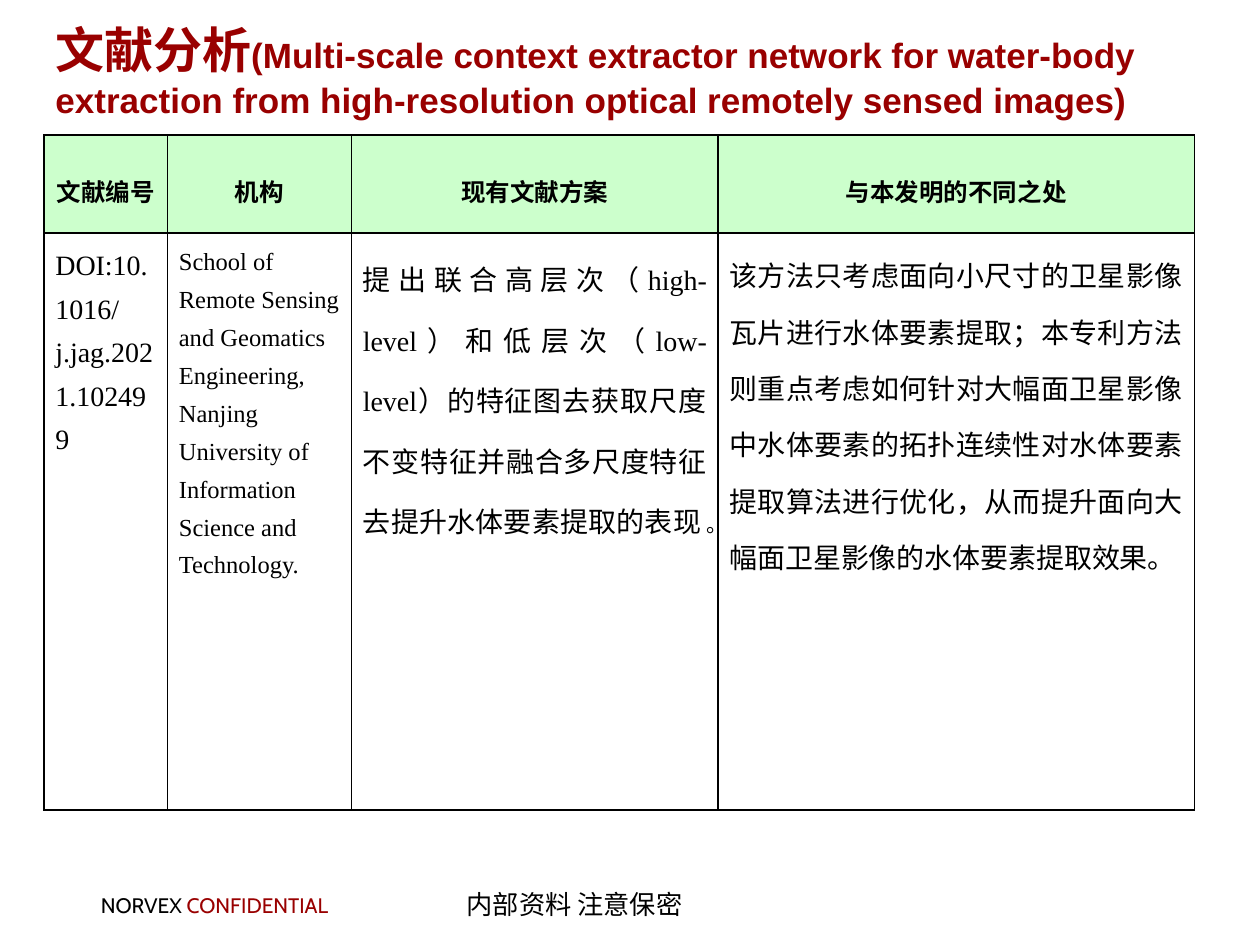
from dataclasses import dataclass

from lxml import etree
from pptx import Presentation
from pptx import util as u
from pptx.dml.color import RGBColor
from pptx.enum import text
from pptx.oxml import ns

PX = 9144  # EMU per px, 100 px to the inch
LEFT, CENTER, JUSTIFY = text.PP_ALIGN.LEFT, text.PP_ALIGN.CENTER, text.PP_ALIGN.JUSTIFY
TOP, MIDDLE = text.MSO_ANCHOR.TOP, text.MSO_ANCHOR.MIDDLE


@dataclass(frozen=True)
class Theme:
    ink: str = "000000"
    accent: str = "990000"
    header_fill: str = "CCFFCC"
    sans: str = "Arial"
    serif: str = "Times New Roman"
    chinese: str = "Noto Sans CJK SC"
    footer_font: str = "Cabin"
    title_size: int = 28
    subtitle_size: int = 20
    body_size: int = 16
    note_size: int = 15
    small_size: int = 14
    tiny_size: int = 12
    border_width: int = 1


@dataclass(frozen=True)
class Run:
    words: str
    size: int
    font: str
    color: str = Theme.ink
    bold: bool = False


class SlideBuilder:
    def __init__(self, slide, theme):
        self.slide = slide
        self.theme = theme

    def add_runs(self, paragraph, runs, align=LEFT, spacing=None):
        paragraph.alignment = align
        if spacing:
            paragraph.line_spacing = spacing
        for item in runs:
            run = paragraph.add_run()
            run.text = item.words
            run.font.size = u.Pt(item.size)
            run.font.name = item.font
            run.font.bold = item.bold
            run.font.color.rgb = RGBColor.from_string(item.color)
            east_asian = etree.SubElement(run.font._element, ns.qn("a:ea"))
            east_asian.set("typeface", self.theme.chinese)

    def set_margins(self, holder):
        holder.margin_left = holder.margin_right = 9 * PX
        holder.margin_top = holder.margin_bottom = 4 * PX

    def text_box(self, left, top, width, height, runs, align=LEFT, anchor=TOP, wrap=True):
        shape = self.slide.shapes.add_textbox(left * PX, top * PX, width * PX, height * PX)
        frame = shape.text_frame
        frame.word_wrap = wrap
        frame.vertical_anchor = anchor
        self.set_margins(frame)
        self.add_runs(frame.paragraphs[0], runs, align)

    def draw_borders(self, cell):
        properties = cell._tc.get_or_add_tcPr()
        for side in ("lnL", "lnR", "lnT", "lnB"):
            line = etree.SubElement(properties, ns.qn(f"a:{side}"))
            line.set("w", str(u.Pt(self.theme.border_width)))
            fill = etree.SubElement(line, ns.qn("a:solidFill"))
            etree.SubElement(fill, ns.qn("a:srgbClr")).set("val", self.theme.ink)

    def fill_cell(self, cell, runs, align, spacing, anchor, color=None):
        self.draw_borders(cell)
        if color:
            cell.fill.solid()
            cell.fill.fore_color.rgb = RGBColor.from_string(color)
        else:
            cell.fill.background()
        self.set_margins(cell)
        cell.vertical_anchor = anchor
        self.add_runs(cell.text_frame.paragraphs[0], runs, align, spacing)

    def table(self, left, top, widths, heights, headers, entries):
        shape = self.slide.shapes.add_table(
            len(heights), len(widths), left * PX, top * PX,
            sum(widths) * PX, sum(heights) * PX)
        table = shape.table
        table.first_row = table.horz_banding = False
        for column, width in zip(table.columns, widths):
            column.width = width * PX
        for row, height in zip(table.rows, heights):
            row.height = height * PX
        theme = self.theme
        for index, header in enumerate(headers):
            run = Run(header, theme.small_size, theme.chinese, bold=True)
            self.fill_cell(table.cell(0, index), [run], CENTER, 1.4, MIDDLE, theme.header_fill)
        for index, (runs, align, spacing) in enumerate(entries):
            self.fill_cell(table.cell(1, index), runs, align, spacing, TOP)


def main():
    theme = Theme()
    presentation = Presentation()
    presentation.slide_width = 1000 * PX
    presentation.slide_height = 750 * PX
    slide = presentation.slides.add_slide(presentation.slide_layouts[6])
    builder = SlideBuilder(slide, theme)

    # Footer
    builder.text_box(71, 704, 211, 28, [
        Run("NORVEX ", theme.tiny_size, theme.footer_font),
        Run("CONFIDENTIAL", theme.tiny_size, theme.footer_font, theme.accent),
    ], wrap=False)
    builder.text_box(304, 701, 304, 34, [
        Run("内部资料 注意保密", theme.note_size, theme.sans),
    ], align=CENTER)

    # Title
    builder.text_box(35, 21, 952, 69, [
        Run("文献分析", theme.title_size, theme.sans, theme.accent, True),
        Run("(Multi-scale context extractor network for water-body extraction "
            "from high-resolution optical remotely sensed images)",
            theme.subtitle_size, theme.sans, theme.accent, True),
    ], anchor=MIDDLE)

    # Literature comparison
    number = Run("DOI:10.1016/j.jag.2021.102499", theme.body_size, theme.serif)
    institution = Run(
        "School of Remote Sensing and Geomatics Engineering, Nanjing University "
        "of Information Science and Technology.", theme.small_size, theme.serif)
    approach = Run(
        "提出联合高层次（high-level）和低层次（low-level）的特征图去获取尺度不变特征"
        "并融合多尺度特征去提升水体要素提取的表现", theme.body_size, theme.serif)
    full_stop = Run(" 。", theme.tiny_size, theme.serif)
    difference = Run(
        "该方法只考虑面向小尺寸的卫星影像瓦片进行水体要素提取；本专利方法则重点考虑"
        "如何针对大幅面卫星影像中水体要素的拓扑连续性对水体要素提取算法进行优化，"
        "从而提升面向大幅面卫星影像的水体要素提取效果。", theme.body_size, theme.serif)
    builder.table(
        35, 107, widths=(98, 146, 291, 378), heights=(78, 458),
        headers=("文献编号", "机构", "现有文献方案", "与本发明的不同之处"),
        entries=(
            ([number], LEFT, 1.4),
            ([institution], LEFT, 1.4),
            ([approach, full_stop], JUSTIFY, 1.5),
            ([difference], JUSTIFY, 1.4),
        ))

    presentation.save("out.pptx")


if __name__ == "__main__":
    main()
